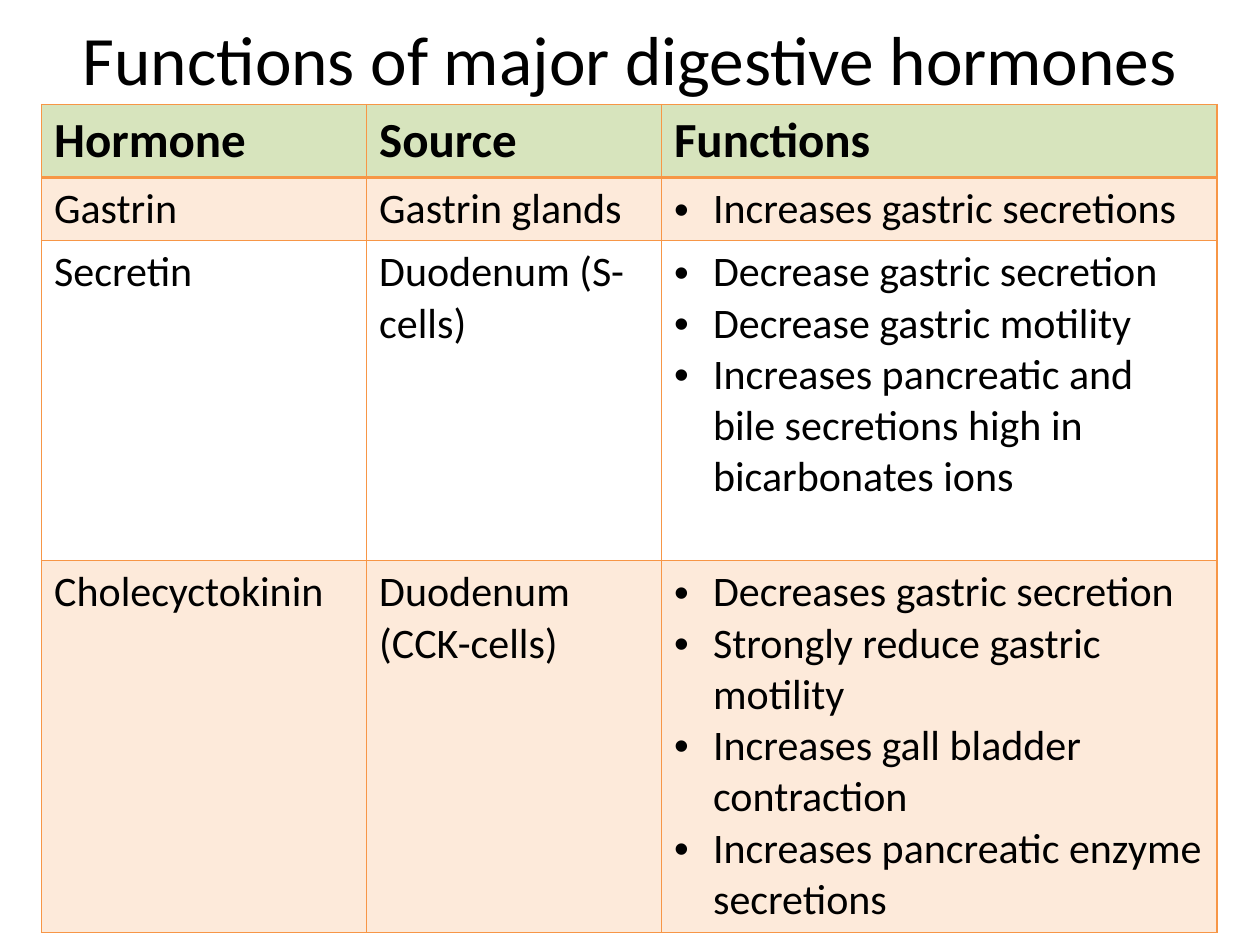
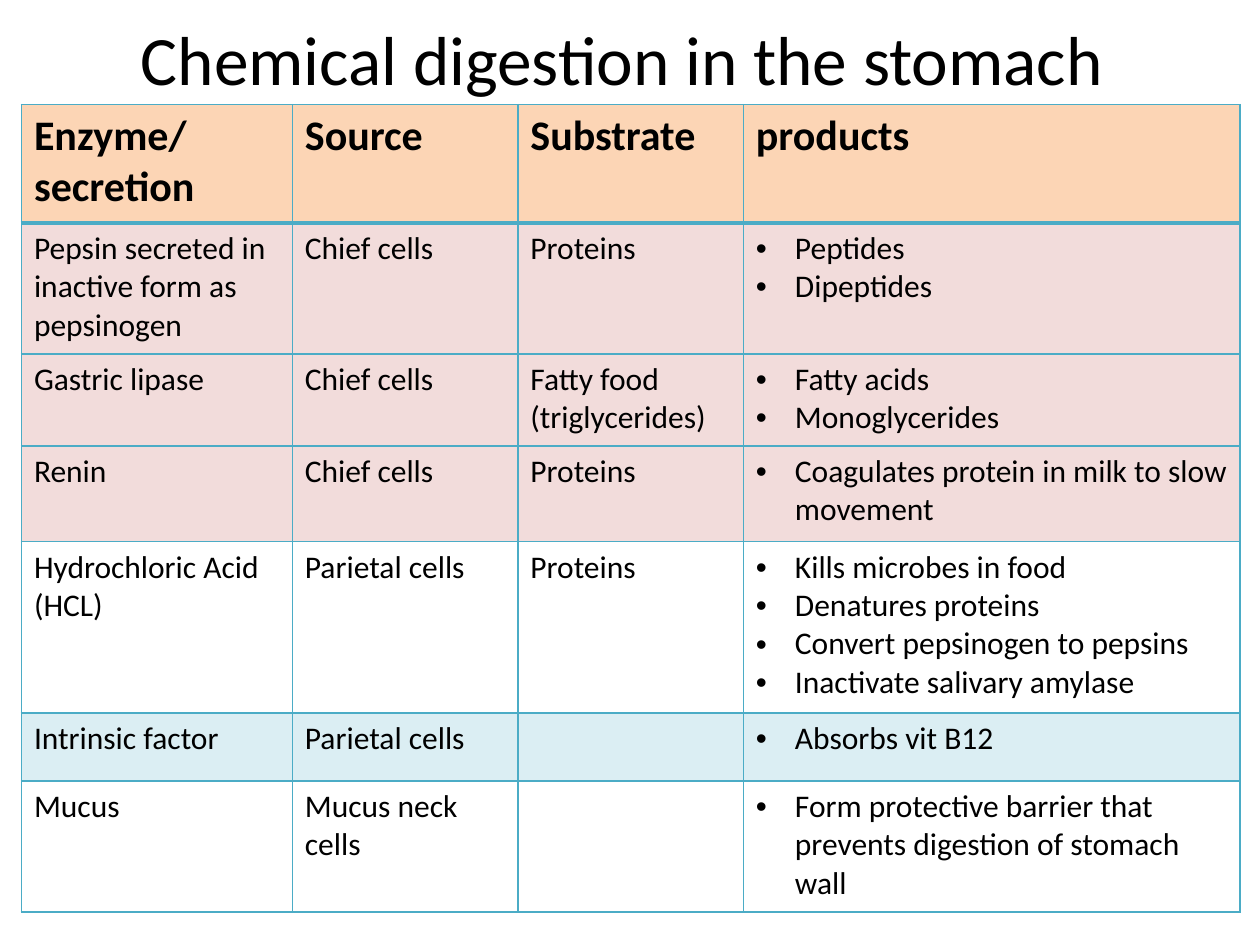
from pptx import Presentation
from pptx.dml.color import RGBColor
from pptx.enum.text import MSO_ANCHOR, PP_ALIGN
from pptx.oxml.ns import qn
from pptx.util import Inches, Pt
from lxml import etree

MIDDLE = MSO_ANCHOR.MIDDLE
CENTER = PP_ALIGN.CENTER

FONT = "Calibri"
BLACK = RGBColor(0x00, 0x00, 0x00)
ORANGE = RGBColor(0xF7, 0x96, 0x46)
TEAL = RGBColor(0x4B, 0xAC, 0xC6)
GREEN = RGBColor(0xD7, 0xE4, 0xBD)
PEACH = RGBColor(0xFC, 0xD5, 0xB5)
ROSE = RGBColor(0xF2, 0xDC, 0xDB)

# A fill is (colour, opacity in percent); None leaves the row clear
BAND = (ORANGE, 20)
SEA = (TEAL, 20)
PINK = (ROSE, 100)

# Content: each row is (height, fill, cells); a list holds several paragraphs
HORMONES = {
    "title": "Functions of major digestive hormones",
    "left": 0.33,
    "line": ORANGE,
    "sizes": (28, 24),
    "cols": (2.58, 2.34, 4.41),
    "rows": [
        (0.58, (GREEN, 100), ["Hormone", "Source", "Functions"]),
        (0.5, BAND, ["Gastrin", "Gastrin glands",
                     ["Increases gastric secretions"]]),
        (2.54, None, ["Secretin", "Duodenum (S-cells)",
                      ["Decrease gastric secretion",
                       "Decrease gastric motility",
                       "Increases pancreatic and bile secretions high in "
                       "bicarbonates ions"]]),
        (2.95, BAND, ["Cholecyctokinin", "Duodenum (CCK-cells)",
                      ["Decreases gastric secretion",
                       "Strongly reduce gastric motility",
                       "Increases gall bladder contraction",
                       "Increases pancreatic enzyme secretions"]]),
    ],
}
STOMACH = {
    "title": "Chemical digestion in the stomach ",
    "left": 0.17,
    "line": TEAL,
    "sizes": (24, 18),
    "cols": (2.15, 1.79, 1.79, 3.94),
    "rows": [
        (0.94, (PEACH, 100),
         ["Enzyme/secretion", "Source", "Substrate", "products"]),
        (1.04, PINK, ["Pepsin secreted in inactive form as pepsinogen",
                      "Chief cells", "Proteins", ["Peptides", "Dipeptides"]]),
        (0.73, PINK, ["Gastric lipase", "Chief cells",
                      "Fatty food (triglycerides)",
                      ["Fatty acids", "Monoglycerides"]]),
        (0.76, PINK, ["Renin", "Chief cells", "Proteins",
                      ["Coagulates protein in milk to slow movement"]]),
        (1.36, None, [["Hydrochloric Acid", "(HCL)"], "Parietal cells",
                      "Proteins",
                      ["Kills microbes in food", "Denatures proteins",
                       "Convert pepsinogen to pepsins",
                       "Inactivate salivary amylase"]]),
        (0.54, SEA, ["Intrinsic factor", "Parietal cells", "",
                     ["Absorbs vit B12"]]),
        (1.04, None, ["Mucus", "Mucus neck cells", "",
                      ["Form protective barrier that prevents digestion of "
                       "stomach wall"]]),
    ],
}
TOP = 0.83
HANG = Inches(0.31)


def write(para, text, size, bold=False):
    run = para.add_run()
    run.text = text
    style = {"name": FONT, "size": Pt(size), "bold": bold}
    for key, value in style.items():
        setattr(run.font, key, value)
    run.font.color.rgb = BLACK


def bullet(para):
    props = para._p.get_or_add_pPr()
    props.set("marL", str(HANG))
    props.set("indent", str(-HANG))
    etree.SubElement(props, qn("a:buFont"), typeface="Arial")
    etree.SubElement(props, qn("a:buChar"), char="•")


def paint(cell, fill):
    if fill is None:
        cell.fill.background()
        return
    color, alpha = fill
    cell.fill.solid()
    cell.fill.fore_color.rgb = color
    if alpha < 100:
        tone = cell._tc.tcPr.find(".//" + qn("a:srgbClr"))
        etree.SubElement(tone, qn("a:alpha"), val=str(alpha * 1000))


def border(cell, color, widths):
    # Lines must stand before the fill
    props = cell._tc.get_or_add_tcPr()
    for spot, (side, width) in enumerate(widths.items()):
        line = etree.Element(qn("a:ln" + side), w=str(Pt(width)))
        solid = etree.SubElement(line, qn("a:solidFill"))
        etree.SubElement(solid, qn("a:srgbClr"), val=str(color))
        props.insert(spot, line)


def add_title(slide, text):
    box = slide.shapes.add_textbox(
        Inches(0.5), Inches(0.17), Inches(9), Inches(0.58))
    frame = box.text_frame
    frame.word_wrap = True
    frame.vertical_anchor = MIDDLE
    para = frame.paragraphs[0]
    para.alignment = CENTER
    write(para, text, 39.6)


def add_grid(slide, data):
    cols, rows = data["cols"], data["rows"]
    table = slide.shapes.add_table(
        len(rows), len(cols), Inches(data["left"]), Inches(TOP),
        Inches(sum(cols)), Inches(sum(row[0] for row in rows))).table
    table.first_row = table.horz_banding = False
    for col, width in zip(table.columns, cols):
        col.width = Inches(width)
    for r, (height, fill, texts) in enumerate(rows):
        table.rows[r].height = Inches(height)
        head = r == 0
        size = data["sizes"][0 if head else 1]
        # The rule under the header is heavier
        widths = {"L": 1, "R": 1, "T": 2 if r == 1 else 1,
                  "B": 2 if head else 1}
        for c, text in enumerate(texts):
            cell = table.cell(r, c)
            paint(cell, fill)
            border(cell, data["line"], widths)
            frame = cell.text_frame
            parts = text if isinstance(text, list) else [text]
            for n, part in enumerate(parts):
                para = frame.add_paragraph() if n else frame.paragraphs[0]
                if part:
                    write(para, part, size, head)
                # The last column is a bulleted list
                if not head and c == len(cols) - 1:
                    bullet(para)


def main():
    deck = Presentation()
    deck.slide_width, deck.slide_height = Inches(10), Inches(7.5)
    for data in (HORMONES, STOMACH):
        slide = deck.slides.add_slide(deck.slide_layouts[6])
        add_title(slide, data["title"])
        add_grid(slide, data)
    deck.save("out.pptx")


if __name__ == "__main__":
    main()
